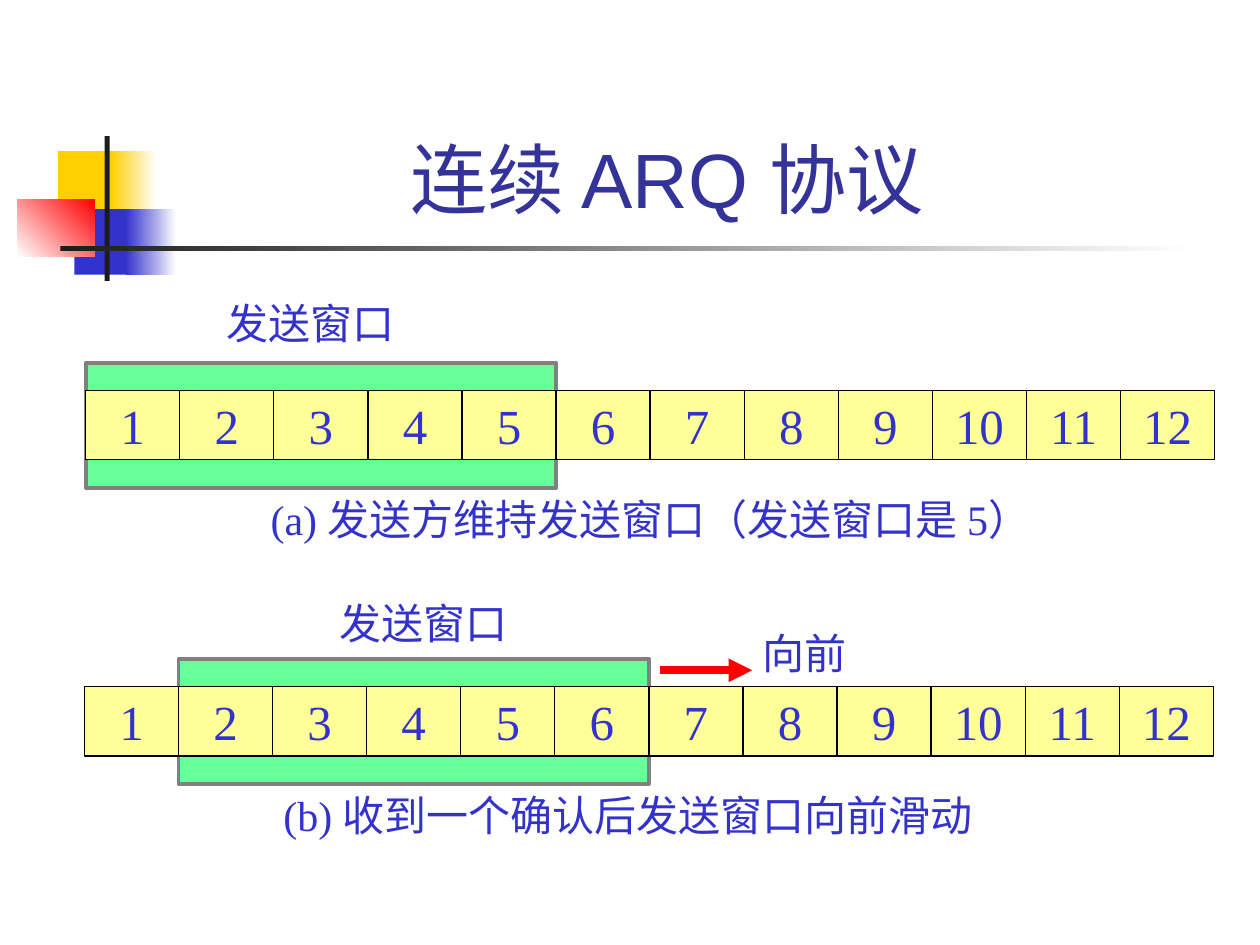
import pptx
import pptx.dml.color
import pptx.enum.shapes
import pptx.enum.text
import pptx.oxml
import pptx.oxml.ns
import pptx.util

WIDTH, HEIGHT = 10, 7.5
FRAMES = 12
WINDOW = 5
BLUE = "3333CC"


def inches(*values):
    """Convert numbers to lengths in inches."""
    return [pptx.util.Inches(v) for v in values]


def rgb(value):
    """Turn a hex string into a colour."""
    return pptx.dml.color.RGBColor.from_string(value)


def drawing_element(tag, attributes=""):
    """Make an empty DrawingML element."""
    return pptx.oxml.parse_xml(f'<a:{tag} {pptx.oxml.ns.nsdecls("a")} {attributes}/>')


def add_rect(s, box, fill, fill_to=None, angle=0, line=None, weight=0.75):
    """Add a rectangle with a solid fill or a two-colour gradient."""
    sp = s.shapes.add_shape(pptx.enum.shapes.MSO_SHAPE.RECTANGLE, *inches(*box))
    sp.shadow.inherit = False
    if fill_to:
        sp.fill.gradient()
        sp.fill.gradient_angle = angle
        for stop, position, color in zip(sp.fill.gradient_stops, (0, 1), (fill, fill_to)):
            stop.position = position
            stop.color.rgb = rgb(color)
    else:
        sp.fill.solid()
        sp.fill.fore_color.rgb = rgb(fill)
    if line:
        sp.line.color.rgb = rgb(line)
        sp.line.width = pptx.util.Pt(weight)
    else:
        sp.line.fill.background()


def add_line(s, start, end, color="000000", weight=0.75, arrow=False):
    """Add a straight line, with an arrowhead at its end if asked."""
    straight = pptx.enum.shapes.MSO_CONNECTOR.STRAIGHT
    c = s.shapes.add_connector(straight, *inches(*start, *end))
    c.line.color.rgb = rgb(color)
    c.line.width = pptx.util.Pt(weight)
    sp_pr = c._element.spPr
    if arrow:
        sp_pr.find(pptx.oxml.ns.qn("a:ln")).append(drawing_element("tailEnd", 'type="triangle"'))
    sp_pr.append(drawing_element("effectLst"))


def add_text(s, text, box, size=24, font="Times New Roman", color=BLUE,
             align="LEFT", anchor="TOP", wrap=False, fit="SHAPE_TO_FIT_TEXT"):
    """Add a one-paragraph text box."""
    tf = s.shapes.add_textbox(*inches(*box)).text_frame
    tf.word_wrap = wrap
    tf.auto_size = getattr(pptx.enum.text.MSO_AUTO_SIZE, fit)
    tf.vertical_anchor = getattr(pptx.enum.text.MSO_ANCHOR, anchor)
    p = tf.paragraphs[0]
    p.alignment = getattr(pptx.enum.text.PP_ALIGN, align)
    r = p.add_run()
    r.text = text
    r.font.size = pptx.util.Pt(size)
    r.font.name = font
    r.font.color.rgb = rgb(color)


def add_header(s, box):
    """Draw the coloured squares, the rules and the title."""
    x, y, w, h = box
    ornaments = [
        ((0.32, 0.12, 0.48, 0.52), "FFCF01", None, 0),
        ((0.74, 0.12, 0.36, 0.52), "FFCF01", "FFFFFF", 0),
        ((0.45, 0.58, 0.46, 0.52), BLUE, None, 0),
        ((0.86, 0.58, 0.4, 0.52), BLUE, "FFFFFF", 0),
        ((0, 0.5, 0.61, 0.46), "FFFFFF", "FF0000", 45),
        ((0.69, 0, 0.04, h), "1C1C1C", None, 0),
        ((0.34, 0.87, w - 0.34, 0.04), "1C1C1C", "FFFFFF", 0),
    ]
    for (dx, dy, dw, dh), fill, fill_to, angle in ornaments:
        add_rect(s, (x + dx, y + dy, dw, dh), fill, fill_to, angle)
    add_text(s, "连续 ARQ 协议", (x + 1.12, y - 0.85, 8.07, 1.6), size=44, font="Arial",
             color="333399", align="CENTER", anchor="BOTTOM", wrap=True, fit="NONE")


def add_frames(s, box, first, label_at, caption, caption_at):
    """Draw the numbered frames with the send window behind them."""
    x, y, w, h = box
    col = w / FRAMES
    edge = 0.4 * h
    add_rect(s, (x + first * col, y - edge, WINDOW * col, h + 2 * edge),
             "66FF99", line="808080", weight=2.25)
    add_rect(s, box, "FFFF99", line="000000")
    for i in range(FRAMES):
        left = x + i * col
        add_text(s, str(i + 1), (left, y, col, h), size=28, align="CENTER",
                 anchor="MIDDLE", fit="NONE")
        if i:
            add_line(s, (left, y), (left, y + h))
    add_text(s, "发送窗口", (*label_at, 1.53, 0.5))
    left, width = caption_at
    add_text(s, caption, (left, y + h + edge, width, 0.5))


def add_advance(s, box):
    """Draw the red arrow and its label."""
    x, y, w, h = box
    middle = y + 0.78 * h
    add_line(s, (x, middle), (x + 0.73, middle), "FF0000", 4.5, arrow=True)
    add_text(s, "向前", (x + 0.71, y, w - 0.71, h))


def main():
    """Build the slide and save it."""
    prs = pptx.Presentation()
    prs.slide_width, prs.slide_height = inches(WIDTH, HEIGHT)
    s = prs.slides.add_slide(prs.slide_layouts[6])
    add_header(s, (0.14, 1.08, 9.34, 1.15))
    add_frames(s, (0.68, 3.1, 8.96, 0.55), 0, (1.7, 2.31),
               "(a) 发送方维持发送窗口（发送窗口是 5）", (2.05, 6.47))
    add_frames(s, (0.67, 5.45, 8.96, 0.55), 1, (2.6, 4.69),
               "(b) 收到一个确认后发送窗口向前滑动", (2.15, 5.75))
    add_advance(s, (5.24, 4.93, 1.61, 0.5))
    prs.save("out.pptx")


if __name__ == "__main__":
    main()
